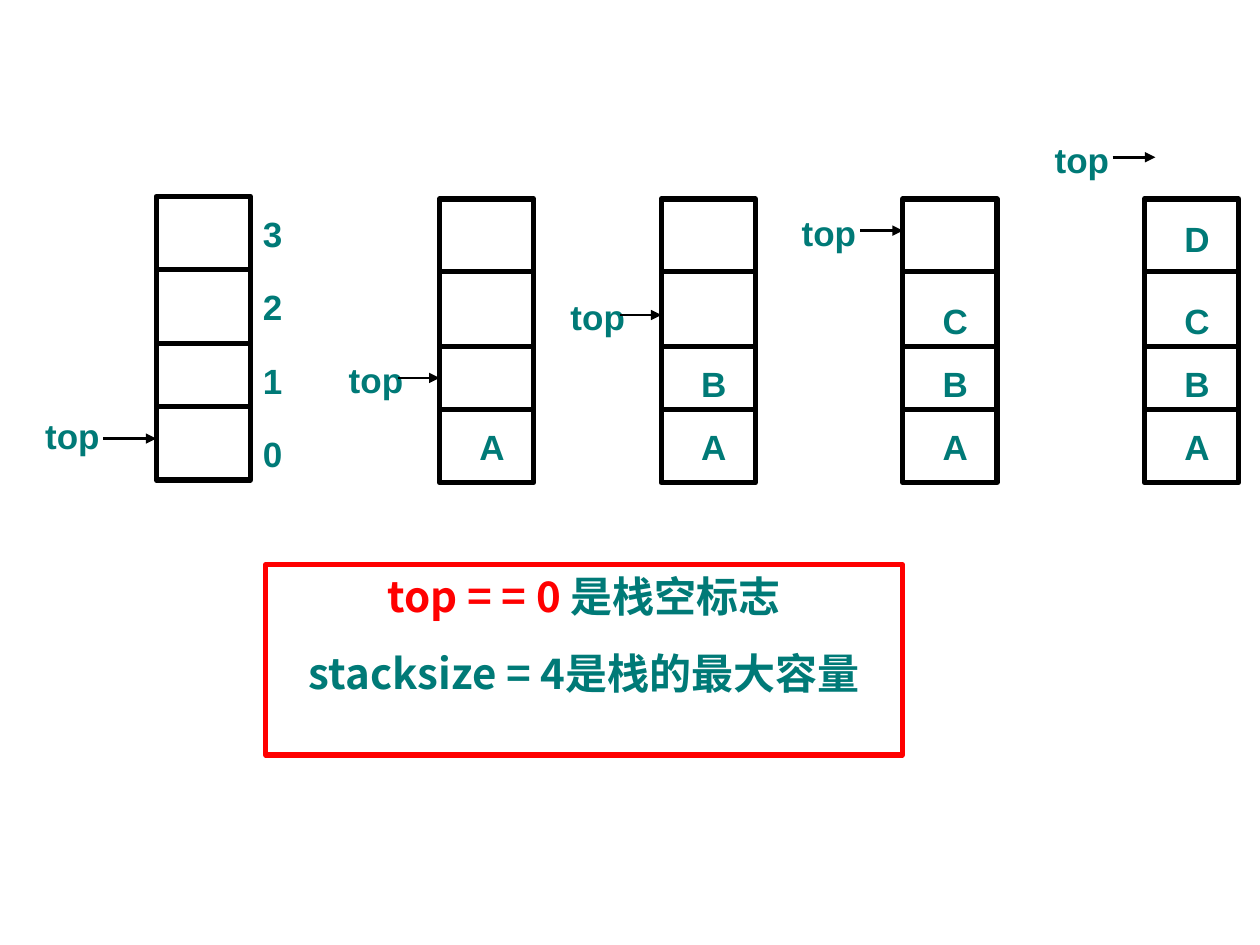
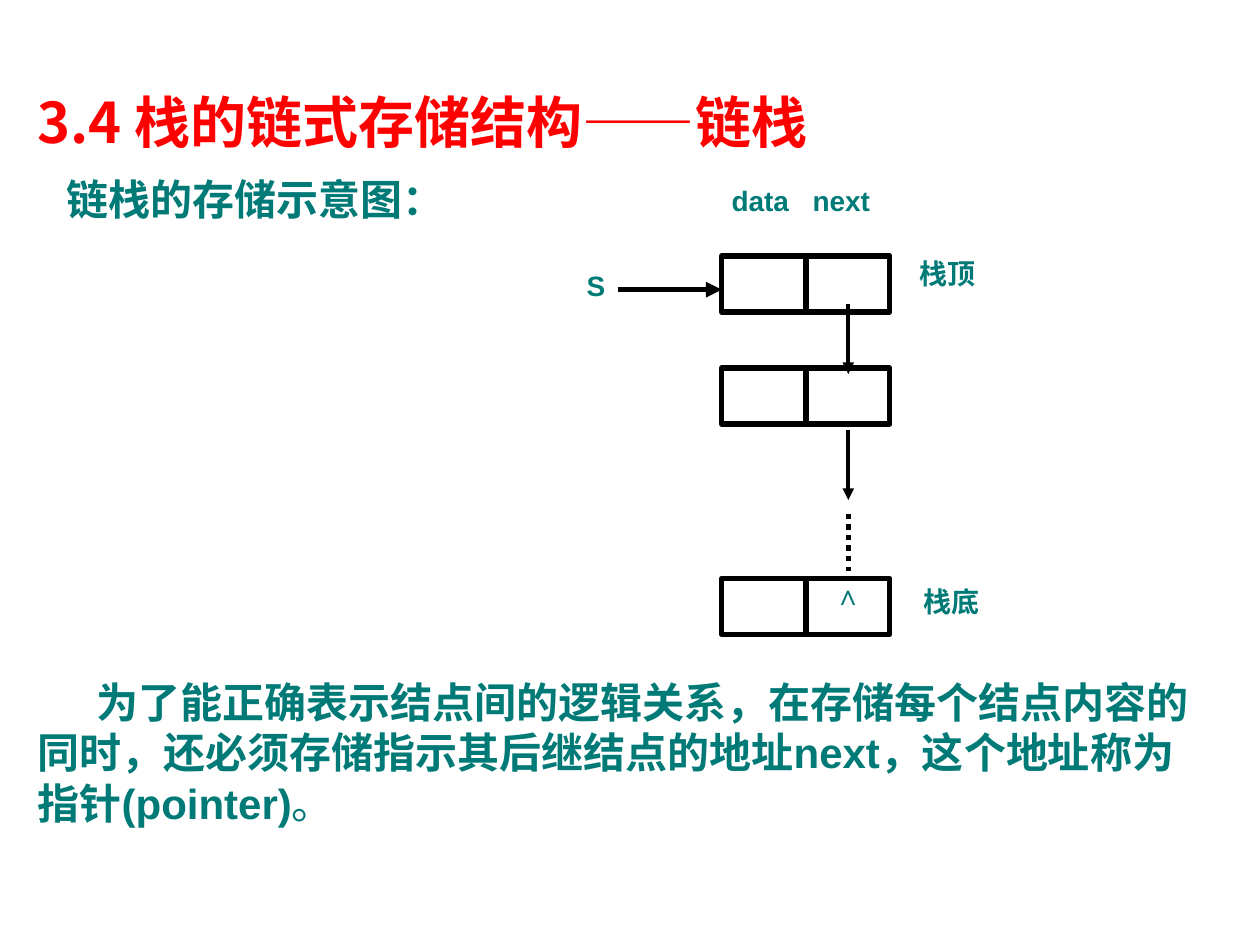
import pptx
import pptx.util
import pptx.dml.color
import pptx.enum.dml
import pptx.enum.shapes
import pptx.enum.text
import pptx.oxml.ns
import lxml.etree

Cm, Pt = pptx.util.Cm, pptx.util.Pt
ALIGN = pptx.enum.text.PP_ALIGN
ANCHOR = pptx.enum.text.MSO_ANCHOR
RECT = pptx.enum.shapes.MSO_SHAPE.RECTANGLE
LINE = pptx.enum.shapes.MSO_CONNECTOR.STRAIGHT

TEAL, RED, BLACK, WHITE = "007A77", "FF0000", "000000", "FFFFFF"
SANS, HAN = "Arial", "Noto Sans CJK SC"

STACK_W, STACK_H = 1.9, 5.72
RULES = [1.47, 2.97, 4.24]
SLOTS = [4.45, 3.18, 1.9, 0.25]
# STACKS_PLACEHOLDER
STACKS = [
    dict(left=3.15, top=3.96, items="", start=-1.07, end=0, mark=4.88, name=(-3.38, 4.27)),
    dict(left=8.86, top=4.01, items="A", start=-0.84, end=0, mark=3.61, name=(-2.97, 3.1)),
    dict(left=13.33, top=4.01, items="AB", start=-0.84, end=0, mark=2.34, name=(-2.97, 1.83)),
    dict(left=18.2, top=4.01, items="ABC", start=-0.86, end=0, mark=0.64, name=(-3.18, 0.13)),
    dict(left=23.07, top=4.01, items="ABCD", start=-0.64, end=0.22, mark=-0.84, name=(-2.95, -1.35)),
]
INDEX = "3210"
FACTS = [
    [("top = = 0 ", RED), ("是栈空标志", TEAL)],
    [("stacksize = 4是栈的最大容量", TEAL)],
]

TITLE = "3.4 栈的链式存储结构――链栈"
LEAD = "链栈的存储示意图："
BODY = [
    ("为了能正确表示结点间的逻辑关系，在存储每个结点内容的同时，"
     "还必须存储指示其后继结点的地址next，这个地址称为指针(pointer)", TEAL),
    ("。", TEAL, False),
]
NODE_X, NODE_W, NODE_H, SPLIT = 14.55, 3.39, 1.13, 1.7
NODES = [5.16, 7.42, 11.66]
LINK_X = 17.1
LINKS = [6.12, 8.66]
LABELS = [
    ("data", 14.5, 3.58, 1.7),
    ("next", 16.13, 3.58, 1.8),
    ("栈顶", 18.28, 5.05, 3.6),
    ("栈底", 18.36, 11.66, 3.6),
]


def color(code):
    return pptx.dml.color.RGBColor.from_string(code)


def write(shape, text, size=20, font=SANS, tint=TEAL, align=ALIGN.LEFT,
          anchor=ANCHOR.TOP, space=0, indent=0):
    frame = shape.text_frame
    frame.word_wrap = True
    frame.vertical_anchor = anchor
    rows = [[(text, tint)]] if isinstance(text, str) else text
    for num, row in enumerate(rows):
        para = frame.add_paragraph() if num else frame.paragraphs[0]
        para.alignment = align
        para.space_before = Pt(space)
        if indent:
            para._p.get_or_add_pPr().set("indent", str(Cm(indent)))
        for part, shade, *bold in row:
            run = para.add_run()
            run.text = part
            run.font.size = Pt(size)
            run.font.name = font
            run.font.bold = bold[0] if bold else True
            run.font.color.rgb = color(shade)


def label(slide, text, left, top, width, height=1.12, **style):
    box = slide.shapes.add_textbox(Cm(left), Cm(top), Cm(width), Cm(height))
    write(box, text, **style)


def block(slide, left, top, width, height, fill=WHITE, edge=BLACK):
    shape = slide.shapes.add_shape(RECT, Cm(left), Cm(top), Cm(width), Cm(height))
    shape.shadow.inherit = False
    if fill:
        shape.fill.solid()
        shape.fill.fore_color.rgb = color(fill)
    else:
        shape.fill.background()
    if edge:
        shape.line.color.rgb = color(edge)
        shape.line.width = Pt(3)
    else:
        shape.line.fill.background()
    return shape


def line(slide, x1, y1, x2, y2, width=3, arrow=False, dash=None):
    link = slide.shapes.add_connector(LINE, Cm(x1), Cm(y1), Cm(x2), Cm(y2))
    link.line.color.rgb = color(BLACK)
    link.line.width = Pt(width)
    if dash:
        link.line.dash_style = dash
    qn = pptx.oxml.ns.qn
    if arrow:
        lxml.etree.SubElement(link.line._get_or_add_ln(), qn("a:tailEnd"), type="triangle")
    lxml.etree.SubElement(link._element.spPr, qn("a:effectLst"))


def stack(slide, left, top, items, start, end, mark, name):
    label(slide, "top", left + name[0], top + name[1], 3.38, align=ALIGN.CENTER)
    block(slide, left, top, STACK_W, STACK_H)
    for rule in RULES:
        line(slide, left, top + rule, left + STACK_W, top + rule)
    for item, slot in zip(items, SLOTS):
        label(slide, item, left + 0.21, top + slot, 1.7, align=ALIGN.CENTER)
    line(slide, left + start, top + mark, left + end, top + mark, width=1.5, arrow=True)


def array_slide(slide):
    facts = block(slide, 5.36, 11.38, 12.83, 3.84, fill=None, edge=RED)
    write(facts, FACTS, size=24, font=HAN, align=ALIGN.CENTER, space=15)
    for spec_row in STACKS:
        stack(slide, **spec_row)
    first = STACKS[0]
    for num, digit in enumerate(INDEX):
        label(slide, digit, first["left"] + STACK_W, first["top"] + 0.2 + 1.48 * num, 0.84)


def linked_slide(slide):
    for top in NODES:
        block(slide, NODE_X, top, NODE_W, NODE_H)
        line(slide, NODE_X + SPLIT, top, NODE_X + SPLIT, top + NODE_H)
    for top in LINKS:
        line(slide, LINK_X, top, LINK_X, top + 1.42, width=2.25, arrow=True)
    line(slide, LINK_X, 10.36, LINK_X, 11.51, dash=pptx.enum.dml.MSO_LINE.ROUND_DOT)
    line(slide, 12.45, 5.84, NODE_X, 5.84, arrow=True)
    for text, left, top, width in LABELS:
        label(slide, text, left, top, width, 0.94, size=16)
    for text, left, top in [("∧", 16.46, 11.51), ("S", 11.38, 5.28)]:
        label(slide, text, left, top, 1.27, 0.94, size=16, align=ALIGN.CENTER)
    label(slide, LEAD, 1.09, 3.38, 22.6, 1.55, size=24)
    title = block(slide, 0.51, 1.73, 19.81, 1.42, edge=None)
    write(title, TITLE, size=32, font=HAN, tint=RED, anchor=ANCHOR.MIDDLE)
    label(slide, [BODY], 0.51, 13.51, 24, 3.4, size=24, indent=1.18)


def main():
    deck = pptx.Presentation()
    deck.slide_width, deck.slide_height = Cm(25.4), Cm(19.05)
    for draw in (array_slide, linked_slide):
        draw(deck.slides.add_slide(deck.slide_layouts[6]))
    deck.save("out.pptx")


if __name__ == "__main__":
    main()
